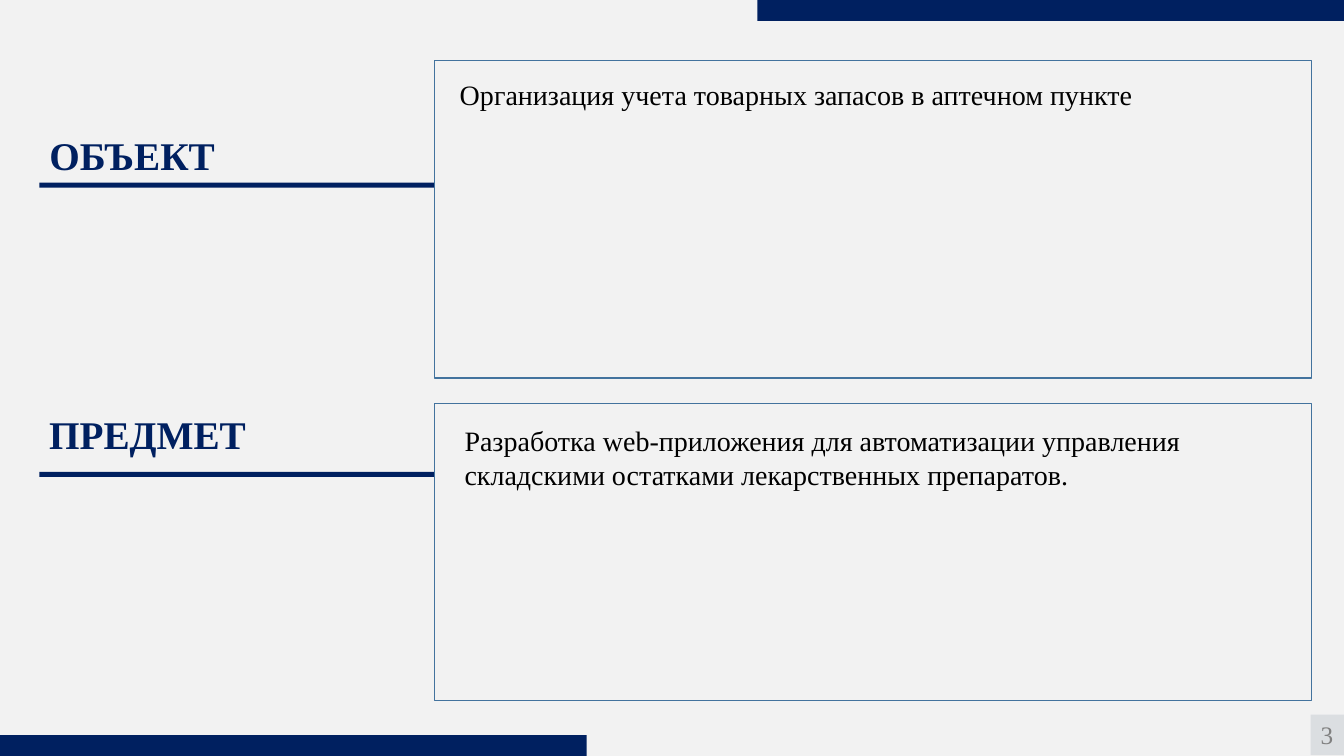
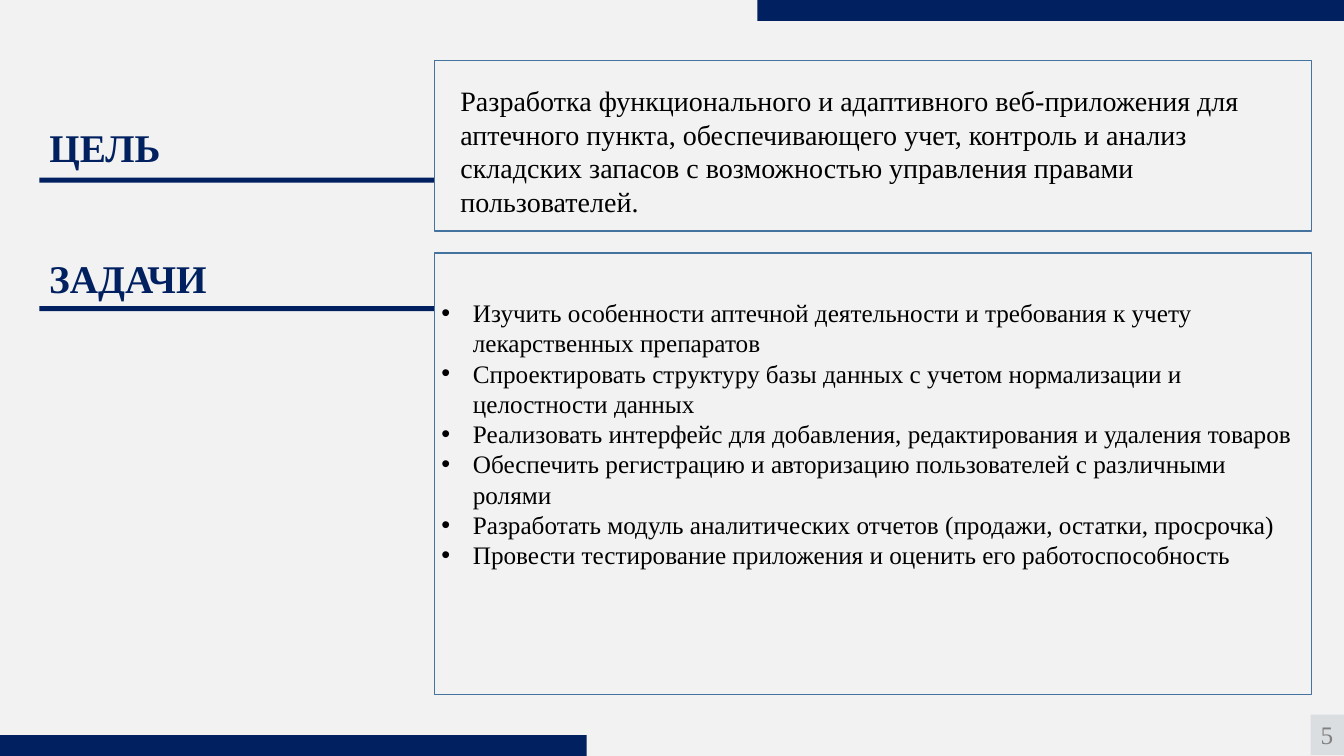
from pptx import Presentation
from pptx.dml.color import RGBColor
from pptx.enum import shapes, text
from pptx.oxml.xmlchemy import OxmlElement
from pptx.util import Pt

COLORS = {"paper": "F2F2F2", "navy": "002060", "outline": "43739E",
          "badge": "DBDEE1", "number": "808080", "ink": "000000"}
FONT = "Times New Roman"
WIDTH, HEIGHT = 960, 540
BAND_WIDTH, BAND_HEIGHT = 419, 15
LABEL_LEFT, LABEL_WIDTH, LABEL_HEIGHT = 28.1, 296.6, 41
PANEL_LEFT, PANEL_WIDTH = 310.3, 626.4
RULE_HEIGHT = 3.6
BULLET_INDENT = 22.5

# Each section: heading and its top, rule top, panel top and height,
# then the body's left, top, width, height, size and paragraphs
SLIDES = [
    ("3", [
        {"heading": "ОБЪЕКТ", "top": 90, "rule": 130.5, "panel": (43.2, 226.8),
         "body": (321.3, 52, 603.4, 31.7), "size": 20,
         "lines": ["Организация учета товарных запасов в аптечном пункте"]},
        {"heading": "ПРЕДМЕТ", "top": 289.4, "rule": 337, "panel": (288, 212.4),
         "body": (324.7, 299, 603.4, 55.7), "size": 20,
         "lines": ["Разработка web-приложения для автоматизации управления складскими "
                   "остатками лекарственных препаратов."]},
    ]),
    ("5", [
        {"heading": "ЦЕЛЬ", "top": 84.2, "rule": 126.9, "panel": (43.2, 121.7),
         "body": (321.8, 56, 603.4, 104.4), "size": 20,
         "lines": ["Разработка функционального и адаптивного веб-приложения для аптечного "
                   "пункта, обеспечивающего учет, контроль и анализ складских запасов с "
                   "возможностью управления правами пользователей."]},
        {"heading": "ЗАДАЧИ", "top": 177.8, "rule": 218.7, "panel": (180.7, 315.4),
         "body": (308.2, 209, 628.6, 286.6), "size": 18,
         "lines": ["Изучить особенности аптечной деятельности и требования к учету "
                   "лекарственных препаратов",
                   "Спроектировать структуру базы данных с учетом нормализации и "
                   "целостности данных",
                   "Реализовать интерфейс для добавления, редактирования и удаления товаров",
                   "Обеспечить регистрацию и авторизацию пользователей с различными ролями",
                   "Разработать модуль аналитических отчетов (продажи, остатки, просрочка)",
                   "Провести тестирование приложения и оценить его работоспособность"]},
    ]),
]


def add_box(page, left, top, width, height, fill=None, line=None):
    box = page.shapes.add_shape(shapes.MSO_SHAPE.RECTANGLE,
                                Pt(left), Pt(top), Pt(width), Pt(height))
    box.shadow.inherit = False
    if fill:
        box.fill.solid()
        box.fill.fore_color.rgb = RGBColor.from_string(COLORS[fill])
    else:
        box.fill.background()
    if line:
        box.line.color.rgb = RGBColor.from_string(COLORS[line])
        box.line.width = Pt(1)
    else:
        box.line.fill.background()
    return box


def write(box, lines, size, color, bold=False, wrap=True):
    frame = box.text_frame
    frame.text = "\n".join(lines)
    frame.word_wrap = wrap
    frame.auto_size = text.MSO_AUTO_SIZE.NONE
    frame.vertical_anchor = text.MSO_ANCHOR.TOP
    for para in frame.paragraphs:
        para.alignment = text.PP_ALIGN.LEFT
        for span in para.runs:
            span.font.name = FONT
            span.font.size = Pt(size)
            span.font.bold = bold
            span.font.color.rgb = RGBColor.from_string(COLORS[color])


deck = Presentation()
deck.slide_width, deck.slide_height = Pt(WIDTH), Pt(HEIGHT)
background = deck.slide_master.background.fill
background.solid()
background.fore_color.rgb = RGBColor.from_string(COLORS["paper"])

for number, sections in SLIDES:
    page = deck.slides.add_slide(deck.slide_layouts.get_by_name("Title Only"))

    # Bands and page number
    add_box(page, WIDTH - BAND_WIDTH, 0, BAND_WIDTH, BAND_HEIGHT, fill="navy")
    add_box(page, 0, HEIGHT - BAND_HEIGHT, BAND_WIDTH, BAND_HEIGHT, fill="navy")
    badge = add_box(page, 936.2, 510.5, 23.8, 29, fill="badge")
    write(badge, [number], 18, "number", wrap=False)

    for index, section in enumerate(sections):
        # Heading: the first one is the slide title
        if index == 0:
            heading = page.shapes.title
            heading.left, heading.top = Pt(LABEL_LEFT), Pt(section["top"])
            heading.width, heading.height = Pt(LABEL_WIDTH), Pt(LABEL_HEIGHT)
        else:
            heading = page.shapes.add_textbox(Pt(LABEL_LEFT), Pt(section["top"]),
                                              Pt(LABEL_WIDTH), Pt(LABEL_HEIGHT))
        write(heading, [section["heading"]], 28, "navy", bold=True)

        # Rule and outlined panel
        add_box(page, LABEL_LEFT, section["rule"], PANEL_LEFT - LABEL_LEFT,
                RULE_HEIGHT, fill="navy")
        panel_top, panel_height = section["panel"]
        add_box(page, PANEL_LEFT, panel_top, PANEL_WIDTH, panel_height, line="outline")

        # Body text, bulleted when there are several paragraphs
        body = page.shapes.add_textbox(*map(Pt, section["body"]))
        write(body, section["lines"], section["size"], "ink")
        if len(section["lines"]) > 1:
            for para in body.text_frame.paragraphs:
                properties = para._p.get_or_add_pPr()
                properties.set("marL", str(Pt(BULLET_INDENT)))
                properties.set("indent", str(-Pt(BULLET_INDENT)))
                bullet_font = OxmlElement("a:buFont")
                bullet_font.set("typeface", "Arial")
                bullet = OxmlElement("a:buChar")
                bullet.set("char", "•")
                properties.extend([bullet_font, bullet])

deck.save("out.pptx")
